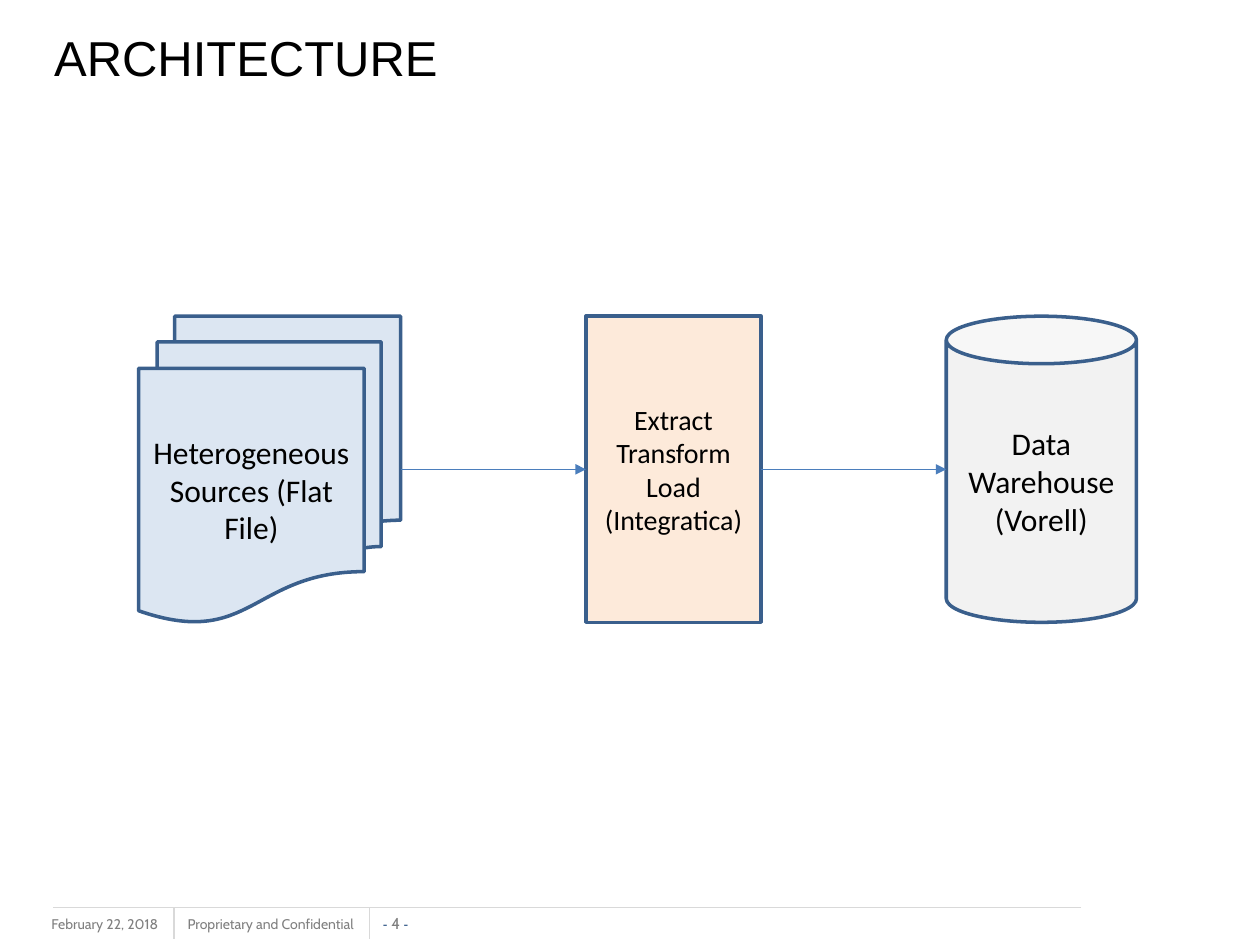
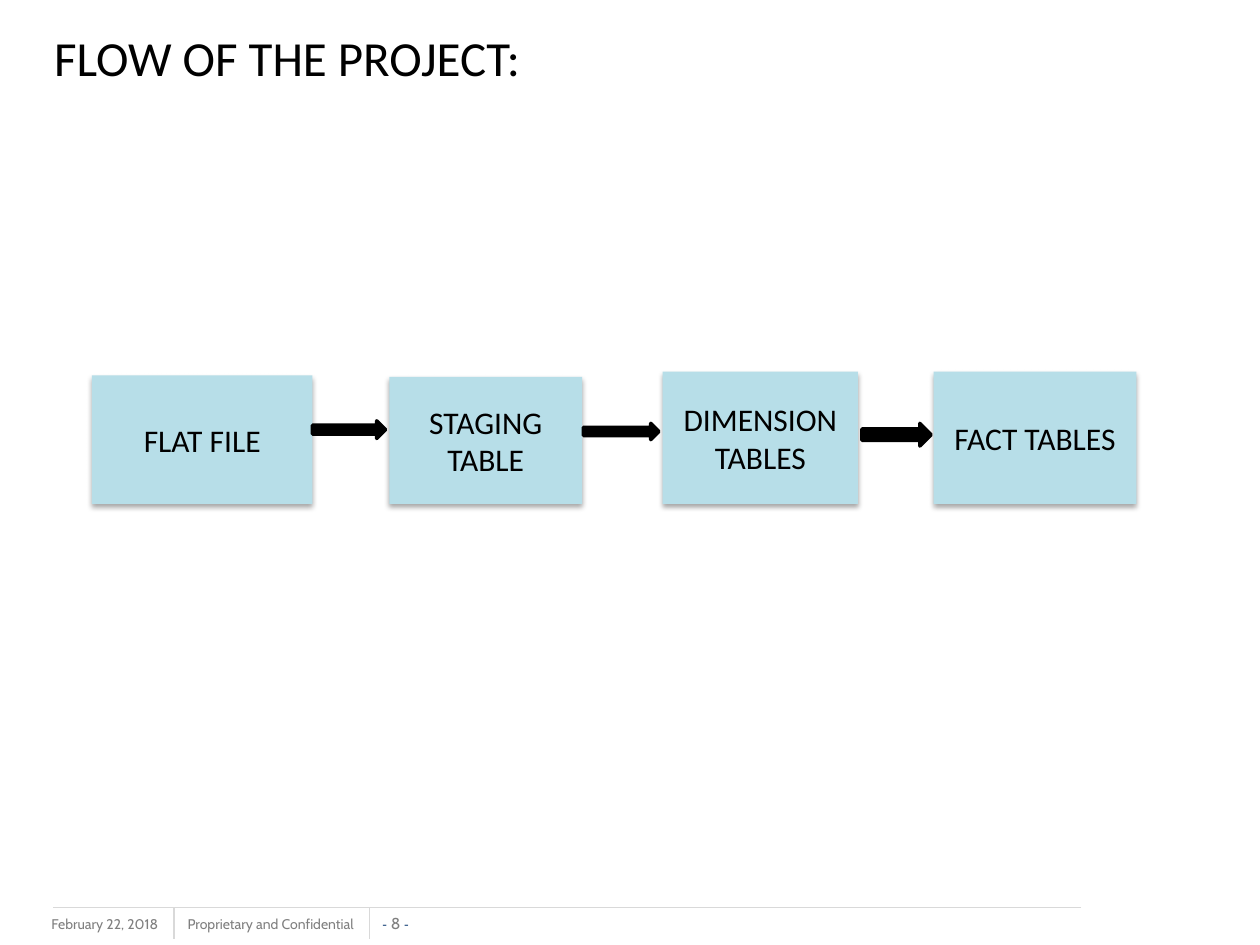
from dataclasses import dataclass
from lxml import etree
from pptx import Presentation
from pptx.dml.color import RGBColor
from pptx.enum.shapes import MSO_CONNECTOR, MSO_SHAPE
from pptx.enum.text import MSO_ANCHOR, PP_ALIGN
from pptx.oxml.ns import qn
from pptx.util import Inches, Pt

STRAIGHT = MSO_CONNECTOR.STRAIGHT
DOCUMENTS = MSO_SHAPE.FLOWCHART_MULTIDOCUMENT
RECTANGLE = MSO_SHAPE.RECTANGLE
CYLINDER = MSO_SHAPE.CAN
ARROW = MSO_SHAPE.RIGHT_ARROW
MIDDLE, BOTTOM = MSO_ANCHOR.MIDDLE, MSO_ANCHOR.BOTTOM
LEFT, CENTER = PP_ALIGN.LEFT, PP_ALIGN.CENTER
TITLE_ONLY = 5


@dataclass(frozen=True)
class Theme:
    ink: str = "000000"
    source: str = "DCE6F2"
    transform: str = "FDEADA"
    warehouse: str = "F2F2F2"
    stage: str = "B7DEE8"
    outline: str = "3A5F8C"
    link: str = "4B7EBC"
    rule: str = "D9D9D9"
    footer: str = "7F7F7F"
    dash: str = "1F497D"
    heading_font: str = "Arial"
    body_font: str = "Calibri"
    footer_font: str = "Cabin"
    title_size: int = 28
    body_size: int = 18
    compact_size: int = 16
    page_size: int = 9
    footer_size: int = 8
    heavy: float = 2
    thin: float = 0.75


theme = Theme()
deck = Presentation()
deck.slide_width, deck.slide_height = Inches(10), Inches(7.5)
GRID_COLUMNS = 100
cell = deck.slide_width / GRID_COLUMNS


def add_line(slide, start, end, color, arrow=False):
    ends = [round(n * cell) for n in (*start, *end)]
    line = slide.shapes.add_connector(STRAIGHT, *ends)
    line.line.color.rgb = RGBColor.from_string(color)
    line.line.width = Pt(theme.thin)
    if arrow:
        etree.SubElement(line.line._get_or_add_ln(), qn("a:tailEnd"), type="triangle")
    etree.SubElement(line.element.spPr, qn("a:effectLst"))


def add_block(slide, kind, box, fill, outline=None, text="", size=theme.body_size):
    block = slide.shapes.add_shape(kind, *[round(n * cell) for n in box])
    block.shadow.inherit = False
    block.fill.solid()
    block.fill.fore_color.rgb = RGBColor.from_string(fill)
    if outline:
        block.line.color.rgb = RGBColor.from_string(outline)
        block.line.width = Pt(theme.heavy)
    else:
        block.line.fill.background()
    block.text_frame.text = text
    block.text_frame.vertical_anchor = MIDDLE
    for paragraph in block.text_frame.paragraphs:
        paragraph.alignment = CENTER
        for run in paragraph.runs:
            run.font.name = theme.body_font
            run.font.size = Pt(size)
            run.font.color.rgb = RGBColor.from_string(theme.ink)
    return block


small_print = (theme.footer_font, theme.footer_size, theme.footer)
page_digit = (theme.footer_font, theme.page_size, theme.footer)
page_dash = (theme.heading_font, theme.footer_size, theme.dash)
footer_top, footer_bottom = 72, 74.5

slides = []
for heading, heading_font, page in (
    ("ARCHITECTURE", theme.heading_font, 4),
    ("FLOW OF THE PROJECT:", theme.body_font, 8),
):
    slide = deck.slides.add_slide(deck.slide_layouts[TITLE_ONLY])
    slides.append(slide)

    title = slide.shapes.title
    title.left, title.top, title.width, title.height = [
        round(n * cell) for n in (3.3, 0.2, 90, 8.7)
    ]
    title.text_frame.text = heading
    title.text_frame.vertical_anchor = MIDDLE
    title_line = title.text_frame.paragraphs[0]
    title_line.alignment = LEFT
    title_font = title_line.runs[0].font
    title_font.name, title_font.size = heading_font, Pt(theme.title_size)
    title_font.color.rgb = RGBColor.from_string(theme.ink)

    for box, wraps, is_page, pieces in (
        ((3.1, 72.2, 13.3, 2.5), True, False, [("February 22, 2018", small_print)]),
        ((13.9, 72.2, 15.7, 2.4), False, False,
         [("Proprietary and Confidential", small_print)]),
        ((30.1, 72.5, 2.6, 1.5), False, True,
         [("- ", page_dash), (f"{page} ", page_digit), ("-", page_dash)]),
    ):
        note = slide.shapes.add_textbox(*[round(n * cell) for n in box]).text_frame
        note.word_wrap = wraps
        if is_page:
            note.margin_left = note.margin_right = 0
            note.margin_top = note.margin_bottom = 0
            note.vertical_anchor = BOTTOM
            note.paragraphs[0].alignment = CENTER
        for words, (font_name, size, color) in pieces:
            run = note.paragraphs[0].add_run()
            run.text = words
            run.font.name, run.font.size = font_name, Pt(size)
            run.font.color.rgb = RGBColor.from_string(color)

    add_line(slide, (85.8, footer_top), (4.2, footer_top), theme.rule)
    for divider in (13.8, 29.3):
        add_line(slide, (divider, footer_top), (divider, footer_bottom), theme.rule)

architecture, project_flow = slides

system_top, system_height = 25.1, 24.3
systems = (
    (DOCUMENTS, 11, 20.8, theme.source,
     "Heterogeneous Sources (Flat File)", theme.body_size),
    (RECTANGLE, 46.5, 13.9, theme.transform,
     "Extract\nTransform\nLoad\n(Integratica)", theme.compact_size),
    (CYLINDER, 75.1, 15.1, theme.warehouse,
     "Data Warehouse (Vorell)", theme.body_size),
)
for kind, left, width, fill, label, size in systems:
    add_block(architecture, kind, (left, system_top, width, system_height),
              fill, theme.outline, label, size)

link_row = system_top + system_height / 2
for (_, left, width, *_), (_, next_left, *_) in zip(systems, systems[1:]):
    add_line(architecture, (left + width, link_row), (next_left, link_row),
             theme.link, arrow=True)

stage_bottom = 40
for label, left, top, width in (
    ("FLAT FILE", 7.3, 29.8, 17.5),
    ("STAGING TABLE", 30.9, 29.9, 15.3),
    ("DIMENSION TABLES", 52.6, 29.5, 15.5),
    ("FACT TABLES", 74.1, 29.5, 16.1),
):
    stage = add_block(project_flow, RECTANGLE,
                      (left, top, width, stage_bottom - top), theme.stage, text=label)
    effects = stage.element.spPr.find(qn("a:effectLst"))
    shadow = etree.SubElement(
        effects, qn("a:outerShdw"), blurRad=str(Pt(3.1)), dist=str(Pt(1.8)),
        dir="5400000", rotWithShape="0")
    shade = etree.SubElement(shadow, qn("a:srgbClr"), val=theme.ink)
    etree.SubElement(shade, qn("a:alpha"), val="35000")

for arrow_box in (
    (24.8, 33.4, 5.8, 1.4),
    (46.3, 33.6, 6, 1.3),
    (68.4, 33.6, 5.5, 1.8),
):
    add_block(project_flow, ARROW, arrow_box, theme.ink, theme.ink)

deck.save("out.pptx")
